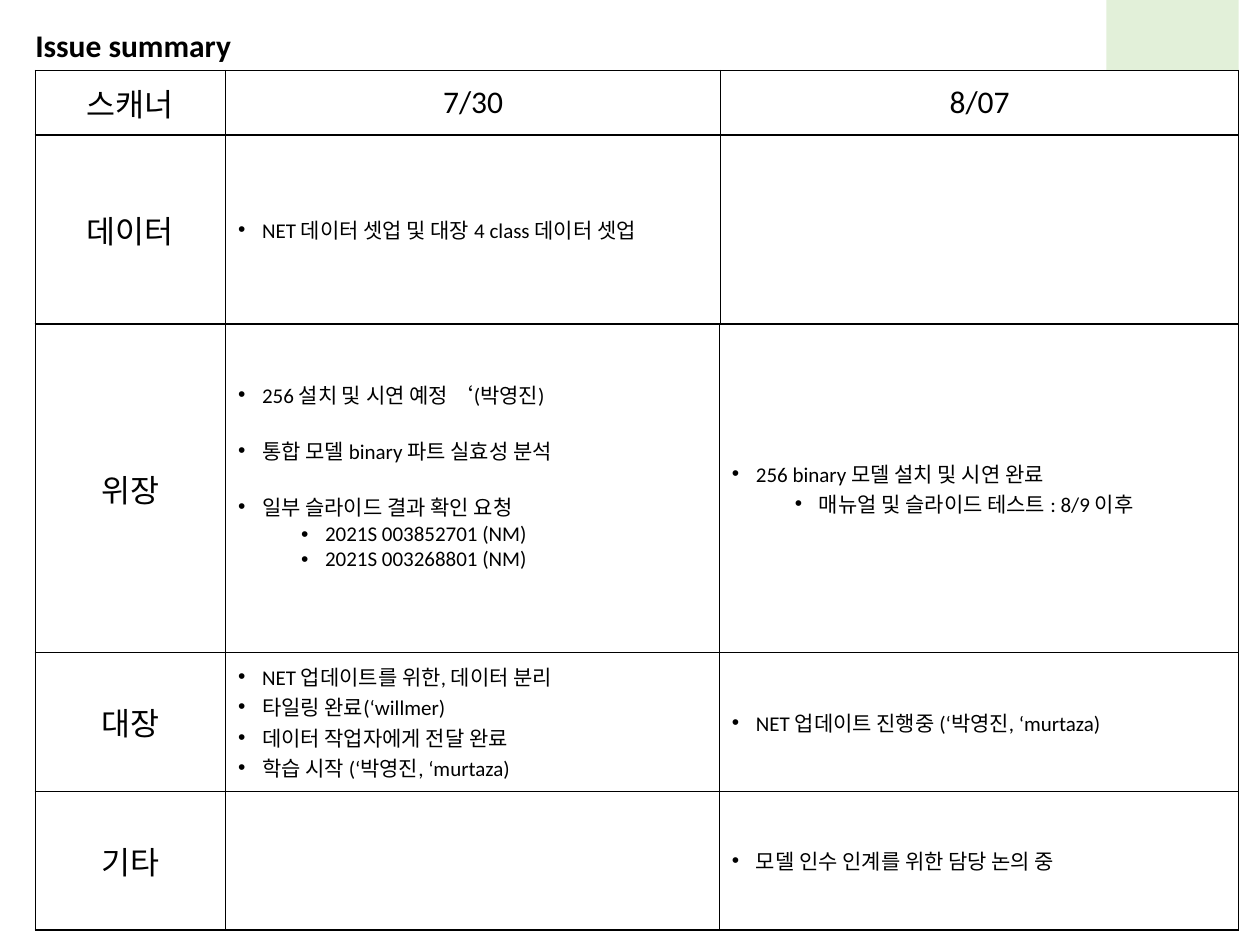
from dataclasses import dataclass

from lxml import etree
from pptx import Presentation
from pptx.dml.color import RGBColor
from pptx.enum.shapes import MSO_SHAPE
from pptx.enum.text import MSO_ANCHOR, MSO_AUTO_SIZE, PP_ALIGN
from pptx.oxml.ns import qn
from pptx.util import Inches, Pt

RECTANGLE = MSO_SHAPE.RECTANGLE
MIDDLE = MSO_ANCHOR.MIDDLE
FIT_SHAPE = MSO_AUTO_SIZE.SHAPE_TO_FIT_TEXT
LEFT, CENTER = PP_ALIGN.LEFT, PP_ALIGN.CENTER
TITLE_ONLY = 5


@dataclass(frozen=True)
class Theme:
    """Colours, type sizes and line width of the slide."""
    font: str = "Calibri"
    ink: RGBColor = RGBColor(0, 0, 0)
    paper: RGBColor = RGBColor(255, 255, 255)
    accent: RGBColor = RGBColor(0xE2, 0xF0, 0xD9)
    heading: int = 18
    body: int = 12
    border: float = 1


@dataclass(frozen=True)
class Item:
    """A bullet with its level and the space before it in points."""
    text: str
    level: int = 0
    before: float = 0


THEME = Theme()
TABLE_LEFT = 0.28
GAP = 14.5

SCHEDULE = [
    ["스캐너", "7/30", "8/07"],
    ["데이터", [Item("NET 데이터 셋업 및 대장 4 class 데이터 셋업")], []],
]
ISSUES = [
    ["위장",
     [Item("256 설치 및 시연 예정 ‘(박영진)"),
      Item("통합 모델 binary 파트 실효성 분석", before=GAP),
      Item("일부 슬라이드 결과 확인 요청", before=GAP),
      Item("2021S 003852701 (NM)", level=1),
      Item("2021S 003268801 (NM)", level=1)],
     [Item("256 binary 모델 설치 및 시연 완료"),
      Item("매뉴얼 및 슬라이드 테스트 : 8/9 이후", level=1)]],
    ["대장",
     [Item("NET 업데이트를 위한, 데이터 분리"),
      Item("타일링 완료(‘willmer)"),
      Item("데이터 작업자에게 전달 완료"),
      Item("학습 시작 (‘박영진, ‘murtaza)")],
     [Item("NET 업데이트 진행중 (‘박영진, ‘murtaza)")]],
    ["기타", [], [Item("모델 인수 인계를 위한 담당 논의 중")]],
]


def apply_format(target, values):
    """Set each attribute in values on target."""
    for name, value in values.items():
        setattr(target, name, value)


def write_span(para, text, size, bold=False):
    """Add one formatted run to a paragraph."""
    span = para.add_run()
    span.text = text
    apply_format(span.font, {"name": THEME.font, "size": Pt(size), "bold": bold})
    span.font.color.rgb = THEME.ink


def add_title(page, text):
    """Place the slide title in its placeholder."""
    box = page.shapes.title
    apply_format(box, {"left": Inches(0.18), "top": Inches(0.16),
                       "width": Inches(3.13), "height": Inches(0.4)})
    apply_format(box.text_frame, {"word_wrap": True, "auto_size": FIT_SHAPE,
                                  "vertical_anchor": MIDDLE})
    para = box.text_frame.paragraphs[0]
    para.alignment = LEFT
    write_span(para, text, THEME.heading, bold=True)


def add_accent(page):
    """Draw the pale block in the top right corner."""
    block = page.shapes.add_shape(RECTANGLE, Inches(8.78), Inches(-0.15),
                                  Inches(1.05), Inches(1.44))
    block.shadow.inherit = False
    block.fill.solid()
    block.fill.fore_color.rgb = THEME.accent
    block.line.fill.background()


def add_bullet(para, level):
    """Give a paragraph a hanging round bullet."""
    properties = para._p.get_or_add_pPr()
    properties.set("marL", str(Inches(0.19 + 0.5 * level)))
    properties.set("indent", str(Inches(-0.19)))
    etree.SubElement(properties, qn("a:buFont"), typeface="Arial")
    etree.SubElement(properties, qn("a:buChar"), char="•")


def add_borders(cell):
    """Draw all four borders of a cell."""
    properties = cell._tc.get_or_add_tcPr()
    for side in ("a:lnL", "a:lnR", "a:lnT", "a:lnB"):
        line = etree.SubElement(properties, qn(side), w=str(Pt(THEME.border)))
        fill = etree.SubElement(line, qn("a:solidFill"))
        etree.SubElement(fill, qn("a:srgbClr"), val=str(THEME.ink))


def fill_cell(cell, content):
    """Format a cell and write a centred heading or a bullet list."""
    add_borders(cell)
    cell.fill.solid()
    cell.fill.fore_color.rgb = THEME.paper
    cell.vertical_anchor = MIDDLE
    frame = cell.text_frame
    if isinstance(content, str):
        frame.paragraphs[0].alignment = CENTER
        write_span(frame.paragraphs[0], content, THEME.heading)
        return
    for index, item in enumerate(content):
        para = frame.add_paragraph() if index else frame.paragraphs[0]
        add_bullet(para, item.level)
        para.level = item.level
        if item.before:
            para.space_before = Pt(item.before)
        write_span(para, item.text, THEME.body)


def add_grid(page, top, widths, heights, rows):
    """Add a bordered table and return it."""
    table = page.shapes.add_table(
        len(rows), len(widths), Inches(TABLE_LEFT), Inches(top),
        Inches(sum(widths)), Inches(sum(heights))).table
    apply_format(table, {"first_row": False, "horz_banding": False})
    for column, width in zip(table.columns, widths):
        column.width = Inches(width)
    for row, height, contents in zip(table.rows, heights, rows):
        row.height = Inches(height)
        for cell, content in zip(row.cells, contents):
            fill_cell(cell, content)
    return table


def main():
    """Build the issue summary slide."""
    deck = Presentation()
    apply_format(deck, {"slide_width": Inches(10), "slide_height": Inches(7.5)})
    page = deck.slides.add_slide(deck.slide_layouts[TITLE_ONLY])
    add_accent(page)
    add_title(page, "Issue summary")
    add_grid(page, 0.56, [1.51, 3.93, 4.11], [0.51, 1.5], SCHEDULE)
    issues = add_grid(page, 2.57, [1.51, 3.92, 4.12], [2.61, 1.1, 1.1], ISSUES)
    issues.cell(0, 1).margin_bottom = Inches(0.25)
    deck.save("out.pptx")


if __name__ == "__main__":
    main()
